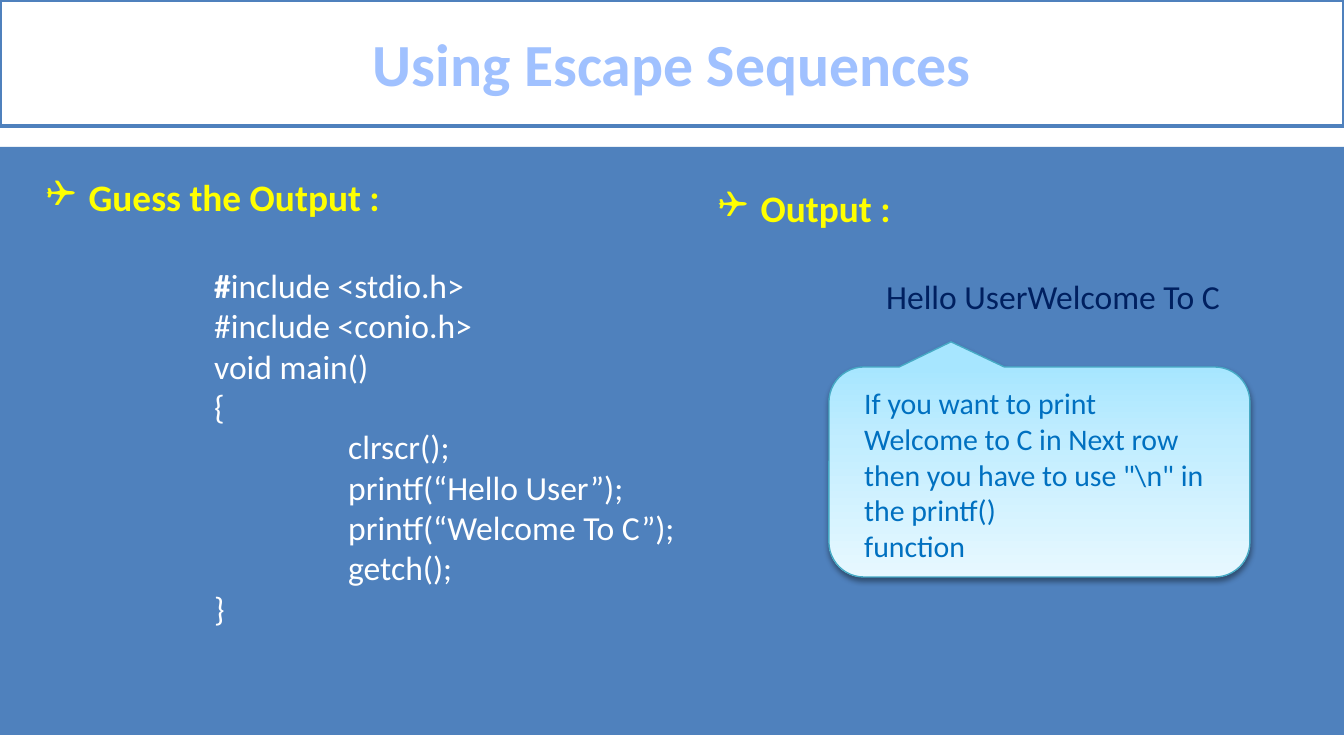
from lxml.etree import SubElement
from pptx import Presentation
from pptx.dml.color import RGBColor
from pptx.enum.shapes import MSO_SHAPE
from pptx.enum.text import MSO_ANCHOR, PP_ALIGN
from pptx.oxml import parse_xml
from pptx.oxml.ns import nsdecls, qn
from pptx.util import Pt

EMU_PER_PX = 914400 / 134.4
BLUE, YELLOW, WHITE = "4F81BD", "FFFF00", "FFFFFF"
INDENT, TAB, HANGING = 67, 134, 34

CODE = [
    (1, "#include <stdio.h>"),
    (1, "#include <conio.h>"),
    (1, "void main()"),
    (1, "{"),
    (2, "clrscr();"),
    (2, "printf(“Hello User”);"),
    (2, "printf(“Welcome To C”);"),
    (2, "getch();"),
    (1, "}"),
]
HINT = [
    "If you want to print",
    "Welcome to C in Next row",
    "then you have to use \"\\n\" in",
    "the printf()",
    "function",
]


def px(length):
    return round(length * EMU_PER_PX)


def color(value):
    return RGBColor.from_string(value)


class SlideBuilder:
    font = "Calibri"

    def __init__(self, deck):
        self.slide = deck.slides.add_slide(deck.slide_layouts[6])

    def style(self, font, size, tone, bold=False):
        font.name, font.size, font.bold = self.font, Pt(size), bold
        font.color.rgb = color(tone)

    def shape(self, kind, place, fill=None, line=None, width=1):
        shape = self.slide.shapes.add_shape(kind, *map(px, place))
        shape.shadow.inherit = False
        if fill:
            shape.fill.solid()
            shape.fill.fore_color.rgb = color(fill)
        if line:
            shape.line.color.rgb = color(line)
            shape.line.width = Pt(width)
        else:
            shape.line.fill.background()
        return shape

    def title(self, text, place):
        box = self.shape(MSO_SHAPE.RECTANGLE, place, WHITE, BLUE, 2)
        box.text_frame.text = text
        box.text_frame.vertical_anchor = MSO_ANCHOR.MIDDLE
        para = box.text_frame.paragraphs[0]
        para.alignment = PP_ALIGN.CENTER
        self.style(para.runs[0].font, 32, "A0C1FF", True)

    def text(self, lines, place, size, tone):
        box = self.slide.shapes.add_textbox(*map(px, place))
        box.text_frame.word_wrap = True
        box.text_frame.text = "\n".join(lines)
        for para in box.text_frame.paragraphs:
            for span in para.runs:
                self.style(span.font, size, tone)
        return box

    def section(self, heading, lines, place, tone):
        """Add a bulleted heading with lines of (tab level, text) below it."""
        texts = [text for level, text in lines]
        box = self.text([heading] + texts, place, 18, tone)
        head, *body = box.text_frame.paragraphs
        props = head._p.get_or_add_pPr()
        props.set("marL", str(px(INDENT)))
        props.set("indent", str(-px(HANGING)))
        SubElement(props, qn("a:buFont"), typeface="Wingdings")
        SubElement(props, qn("a:buChar"), char="❑")
        self.style(head.runs[0].font, 20, YELLOW, True)
        for para, (level, _) in zip(body, lines):
            para._p.get_or_add_pPr().set("marL", str(px(INDENT + level * TAB)))
        body[0].space_before = Pt(24.4)
        return body

    def callout(self, place, stops, line):
        """Add a speech bubble with a vertical gradient and a soft shadow."""
        bubble = self.shape(MSO_SHAPE.ROUNDED_RECTANGULAR_CALLOUT, place,
                            line=line, width=0.75)
        bubble.adjustments[0] = -0.21
        bubble.adjustments[1] = -0.62
        bubble.fill.gradient()
        bubble.fill.gradient_angle = 270
        props = bubble._element.spPr
        stop_list = props.find(".//" + qn("a:gsLst"))
        stop_list.clear()
        for position, tone in stops:
            stop = SubElement(stop_list, qn("a:gs"), pos=str(position * 1000))
            SubElement(stop, qn("a:srgbClr"), val=tone)
        props.find(qn("a:effectLst")).append(parse_xml(
            f'<a:outerShdw {nsdecls("a")} blurRad="{Pt(3.1)}" dist="{Pt(1.6)}" '
            'dir="5400000" rotWithShape="0"><a:srgbClr val="000000">'
            '<a:alpha val="38000"/></a:srgbClr></a:outerShdw>'))


def main():
    deck = Presentation()
    deck.slide_width, deck.slide_height = px(1344), px(756)
    page = SlideBuilder(deck)
    page.shape(MSO_SHAPE.RECTANGLE, (0, 147, 1344, 588), BLUE)
    page.title("Using Escape Sequences", (0, 0, 1344, 126))

    code = page.section(" Guess the Output :", CODE, (0, 168, 1344, 560), WHITE)
    first = code[0]
    first.text = "#"
    rest = first.add_run()
    rest.text = CODE[0][1][1:]
    for span in first.runs:
        page.style(span.font, 18, WHITE, span.text == "#")

    page.section(" Output :", [(1, "Hello UserWelcome To C")],
                 (672, 179, 672, 235), "002060")
    page.callout((829, 367, 421, 210),
                 [(0, "A7E6FF"), (35, "C1EDFF"), (100, "E7F8FF")], "46AAC5")
    page.text(HINT, (851, 378, 388, 239), 16, "0070C0")
    deck.save("out.pptx")


if __name__ == "__main__":
    main()
